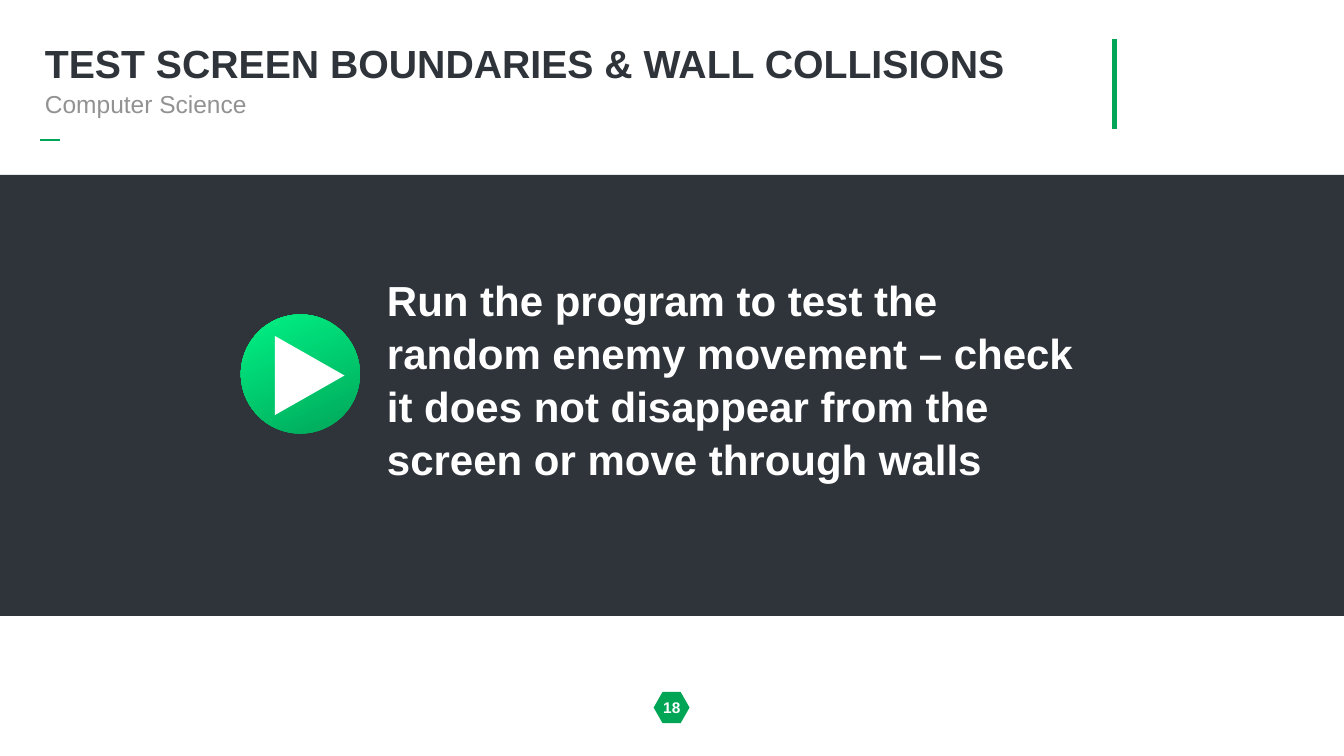
import pptx
import pptx.util
import pptx.dml.color
import pptx.enum.shapes
import pptx.enum.text
import pptx.oxml.ns
import lxml.etree
from dataclasses import dataclass

Cm = pptx.util.Cm
Pt = pptx.util.Pt
RGB = pptx.dml.color.RGBColor.from_string
Kind = pptx.enum.shapes.MSO_SHAPE
Align = pptx.enum.text.PP_ALIGN
Anchor = pptx.enum.text.MSO_ANCHOR
qn = pptx.oxml.ns.qn


@dataclass(frozen=True)
class Theme:
    face: str = "Arial"
    dark: str = "2F333A"
    gray: str = "929292"
    white: str = "FFFFFF"
    green: str = "00A655"
    deep: str = "00A659"
    bright: str = "00F285"
    head: int = 56
    sub: int = 35
    main: int = 60
    page: int = 22


theme = Theme()


def write(shape, text, size, color, bold, anchor, align=Align.LEFT, inset=None):
    """Fill a text shape with one formatted, unbulleted paragraph and return it."""
    frame = shape.text_frame
    frame.word_wrap = True
    frame.auto_size = pptx.enum.text.MSO_AUTO_SIZE.NONE
    frame.vertical_anchor = anchor
    if inset is not None:
        frame.margin_left = frame.margin_right = inset
        frame.margin_top = frame.margin_bottom = inset
    frame.text = text
    para = frame.paragraphs[0]
    para.alignment = align
    para.space_before = Pt(0)
    props = para._p.get_or_add_pPr()
    props.set("marL", "0")
    props.set("indent", "0")
    lxml.etree.SubElement(props, qn("a:buNone"))
    para.font.name = theme.face
    para.font.size = Pt(size)
    para.font.bold = bold
    para.font.color.rgb = RGB(color)
    return para


def paint(shape, color):
    shape.shadow.inherit = False
    shape.line.fill.background()
    shape.fill.solid()
    shape.fill.fore_color.rgb = RGB(color)


deck = pptx.Presentation()
deck.slide_width = Cm(67.73)
deck.slide_height = Cm(38.1)
slide = deck.slides.add_slide(deck.slide_layouts[1])
shapes = slide.shapes

# Header
title, sub = shapes.title, slide.placeholders[1]
for holder, top, high in ((title, 1.75, 3.18), (sub, 4.37, 1.75)):
    holder.left, holder.top = Cm(2.01), Cm(top)
    holder.width, holder.height = Cm(51.38), Cm(high)
para = write(title, "TEST SCREEN BOUNDARIES & WALL COLLISIONS",
             theme.head, theme.dark, True, Anchor.MIDDLE)
para.line_spacing = 0.9
write(sub, "Computer Science", theme.sub, theme.gray, False, Anchor.BOTTOM)

for x1, y1, x2, y2, width in ((56.16, 1.98, 56.16, 6.48, 7),
                              (2.01, 7.06, 3, 7.06, 2)):
    rule = shapes.add_connector(pptx.enum.shapes.MSO_CONNECTOR.STRAIGHT,
                                Cm(x1), Cm(y1), Cm(x2), Cm(y2))
    rule.line.color.rgb = RGB(theme.green)
    rule.line.width = Pt(width)
    lxml.etree.SubElement(rule._element.spPr, qn("a:effectLst"))

# Dark band with the play icon and the task
band = shapes.add_shape(Kind.RECTANGLE, 0, Cm(8.81), deck.slide_width, Cm(22.23))
paint(band, theme.dark)

group = shapes.add_group_shape().shapes
disc = group.add_shape(Kind.OVAL, Cm(12.14), Cm(15.85), Cm(6), Cm(6))
paint(disc, theme.deep)
disc.fill.gradient()
disc.fill.gradient_angle = 115
for stop, color, place in zip(disc.fill.gradient_stops,
                              (theme.deep, theme.bright), (0, 1)):
    stop.color.rgb = RGB(color)
    stop.position = place

play = group.add_shape(Kind.ISOSCELES_TRIANGLE, Cm(13.61), Cm(17.17), Cm(3.99), Cm(3.51))
play.rotation = 90
paint(play, theme.white)

task = group.add_textbox(Cm(19.3), Cm(13.51), Cm(36.02), Cm(10.67))
para = write(task, "Run the program to test the random enemy movement – check it does "
             "not disappear from the screen or move through walls",
             theme.main, theme.white, True, Anchor.TOP, inset=Cm(0.2))
para.line_spacing = 1.05
para.space_after = Pt(6)

# Page number
left, right, top, mid, low = 32.94, 34.75, 34.87, 35.66, 36.45
edge = 0.45
points = [(left + edge, top), (right - edge, top), (right, mid),
          (right - edge, low), (left + edge, low), (left, mid)]
points = [(Cm(x), Cm(y)) for x, y in points]
badge = shapes.build_freeform(*points[0])
badge.add_line_segments(points[1:], close=True)
paint(badge.convert_to_shape(), theme.green)

page = shapes.add_textbox(Cm(left), Cm(35), Cm(1.83), Cm(1.32))
write(page, "18", theme.page, theme.white, True, Anchor.MIDDLE,
      Align.CENTER, Cm(0.2))

deck.save("out.pptx")
